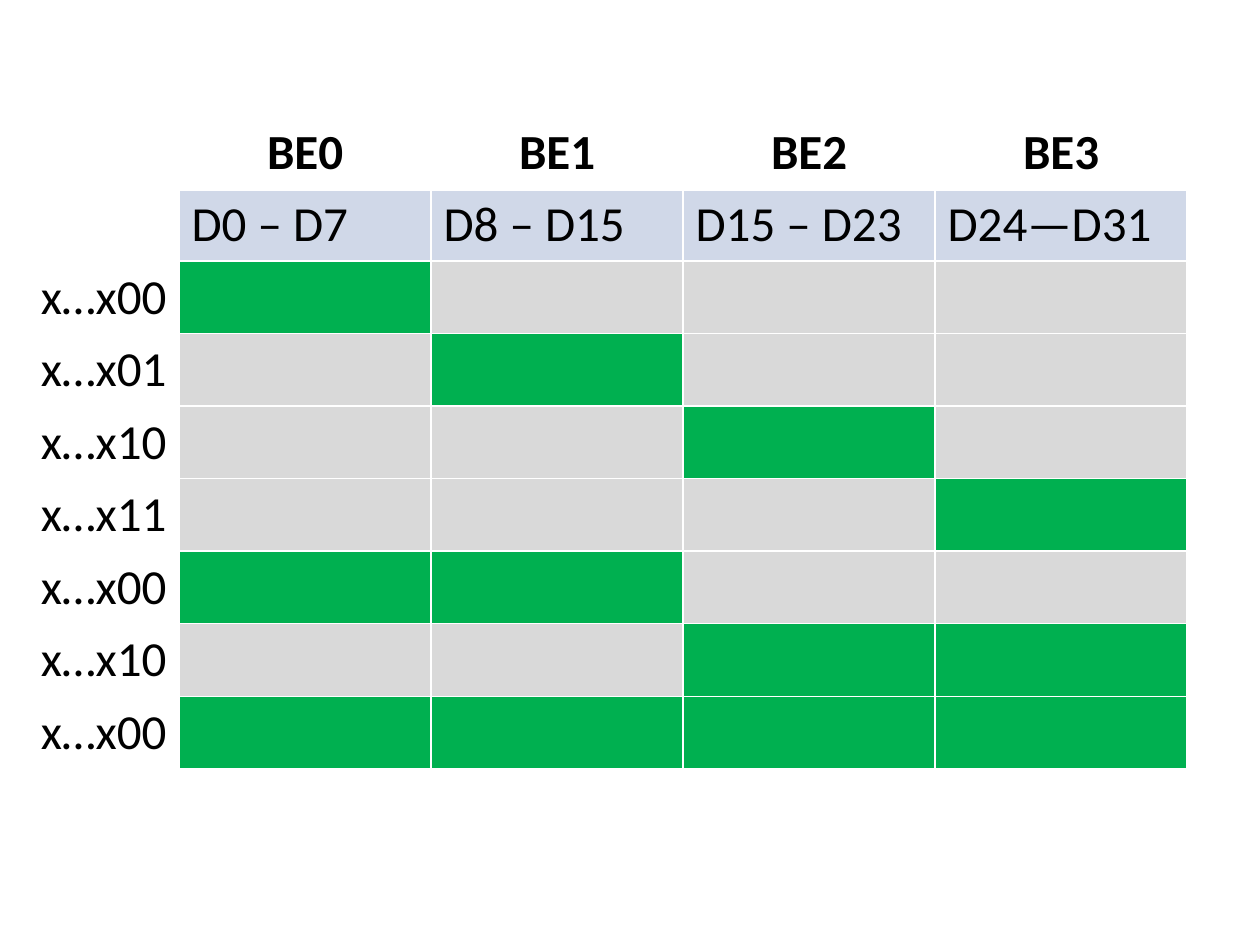
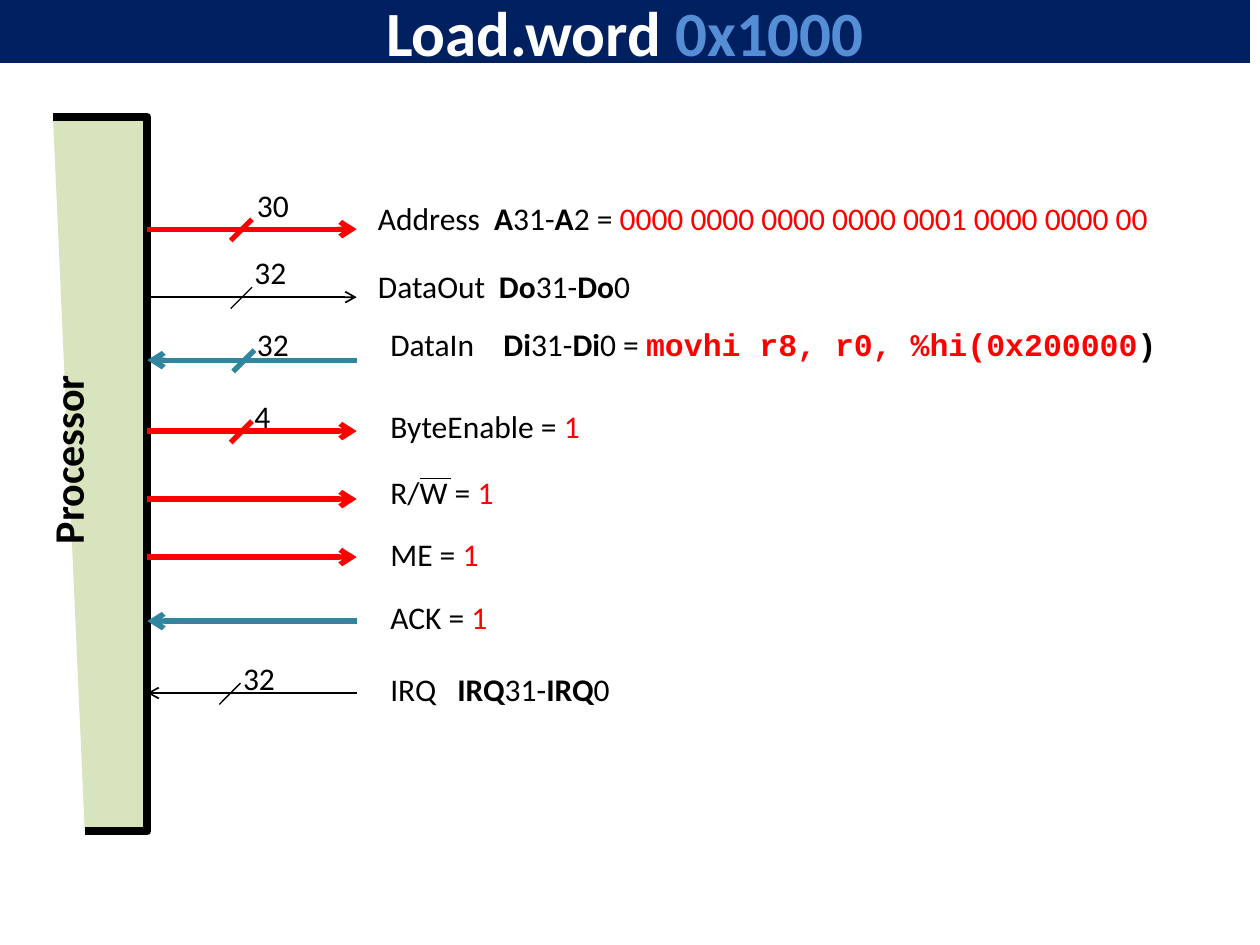
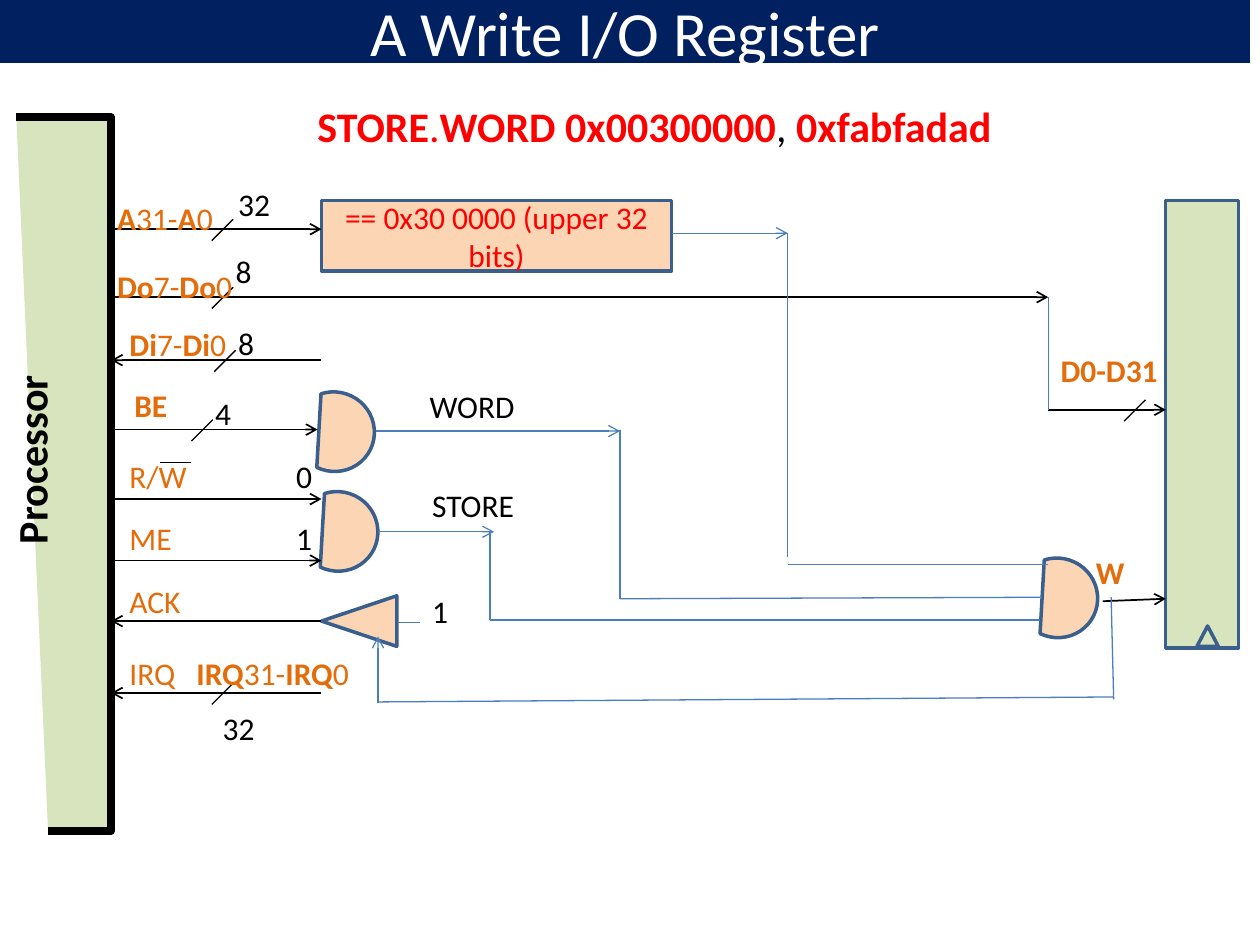
from lxml import etree
from pptx import Presentation
from pptx import util as u
from pptx.dml import color
from pptx.enum import shapes, text
from pptx.oxml import ns

Cm, Pt = u.Cm, u.Pt
rgb = color.RGBColor.from_string
BLACK, WHITE, RED, NAVY = "000000", "FFFFFF", "FF0000", "002060"
TEAL, ORANGE, BLUE, OUTLINE = "31859C", "E46C0A", "4B7EBC", "3A5F8C"
SAGE, PEACH, GREEN, GREY = "D7E4BD", "FCD5B5", "00B050", "D9D9D9"


def add_runs(paragraph, runs, size=18):
    for words, colour, bold, *face in runs:
        run = paragraph.add_run()
        run.text = words
        run.font.name = face[0] if face else "Calibri"
        run.font.size = Pt(size)
        run.font.bold = bold
        run.font.color.rgb = rgb(colour)


def add_wire(slide, x1, y1, x2, y2, colour=BLUE, weight=0.75, arrow=False):
    wire = slide.shapes.add_connector(
        shapes.MSO_CONNECTOR.STRAIGHT, Cm(x1), Cm(y1), Cm(x2), Cm(y2))
    wire.line.color.rgb = rgb(colour)
    wire.line.width = Pt(weight)
    properties = wire.element.spPr
    if arrow:
        outline = properties.find(ns.qn("a:ln"))
        etree.SubElement(outline, ns.qn("a:tailEnd"), type="arrow")
    etree.SubElement(properties, ns.qn("a:effectLst"))


deck = Presentation()
deck.slide_width, deck.slide_height = Cm(25.4), Cm(19.05)
lanes, load, store = [deck.slides.add_slide(deck.slide_layouts[6]) for _ in range(3)]

lane_rows = [
    ("", ["BE0", "BE1", "BE2", "BE3"], []),
    ("", ["D0 – D7", "D8 – D15", "D15 – D23", "D24—D31"], []),
    ("x…x00", [""] * 4, [0]),
    ("x…x01", [""] * 4, [1]),
    ("x…x10", [""] * 4, [2]),
    ("x…x11", [""] * 4, [3]),
    ("x…x00", [""] * 4, [0, 1]),
    ("x…x10", [""] * 4, [2, 3]),
    ("x…x00", [""] * 4, [0, 1, 2, 3]),
]
lane_table = lanes.shapes.add_table(
    len(lane_rows), 5, Cm(-1.47), Cm(2.34), Cm(25.4), Cm(13.14)).table
lane_table.first_row = lane_table.horz_banding = False
for r, (address, words, enabled) in enumerate(lane_rows):
    lane_table.rows[r].height = Cm(1.46)
    for c, word in enumerate([address] + words):
        cell = lane_table.cell(r, c)
        properties = cell._tc.get_or_add_tcPr()
        for side in "LRTB":
            thick = (r, side) in [(0, "B"), (1, "T")]
            border = etree.SubElement(properties, ns.qn("a:ln" + side), w=str(Pt(3 if thick else 1)))
            paint = etree.SubElement(border, ns.qn("a:solidFill"))
            etree.SubElement(paint, ns.qn("a:srgbClr"), val=WHITE)
        if r == 0 or c == 0:
            cell.fill.background()
        else:
            cell.fill.solid()
            shade = "D0D8E8" if r == 1 else GREEN if c - 1 in enabled else GREY
            cell.fill.fore_color.rgb = rgb(shade)
        if word:
            paragraph = cell.text_frame.paragraphs[0]
            if r == 0:
                paragraph.alignment = text.PP_ALIGN.CENTER
            elif c == 0:
                paragraph.alignment = text.PP_ALIGN.RIGHT
            add_runs(paragraph, [(word, BLACK, r == 0)], 28)

titles = [
    (load, 1.07, [("Load.word ", WHITE, True), ("0x1000", "558ED5", True)]),
    (store, 0.33, [("A Write I/O Register", WHITE, False)]),
]
for slide, left, title in titles:
    band = slide.shapes.add_shape(shapes.MSO_SHAPE.RECTANGLE, 0, 0, Cm(25.2), Cm(1.27))
    band.shadow.inherit = False
    band.fill.solid()
    band.fill.fore_color.rgb = rgb(NAVY)
    band.line.fill.background()
    band.text_frame.vertical_anchor = text.MSO_ANCHOR.MIDDLE
    heading = band.text_frame.paragraphs[0]
    heading.alignment = text.PP_ALIGN.CENTER
    add_runs(heading, title, 36)

    edge = slide.shapes.build_freeform(Cm(left), Cm(2.36))
    edge.add_line_segments(
        [(Cm(left + 1.9), Cm(2.36)), (Cm(left + 1.9), Cm(16.76)), (Cm(left + 0.64), Cm(16.76))],
        close=False)
    processor = edge.convert_to_shape()
    processor.shadow.inherit = False
    processor.fill.solid()
    processor.fill.fore_color.rgb = rgb(SAGE)
    processor.line.color.rgb = rgb(BLACK)
    processor.line.width = Pt(4.5)

CHORD, RECT, TRIANGLE = (
    shapes.MSO_SHAPE.CHORD, shapes.MSO_SHAPE.RECTANGLE, shapes.MSO_SHAPE.ISOSCELES_TRIANGLE)
logic_parts = [
    (CHORD, 5.99, 9.91, 1.63, 1.6, 205.9, PEACH, []),
    (CHORD, 5.92, 7.9, 1.63, 1.6, 205.9, PEACH, []),
    (CHORD, 20.5, 11.25, 1.63, 1.6, 205.9, PEACH, []),
    (RECT, 23.5, 4.04, 1.47, 9.02, 0, SAGE, []),
    (TRIANGLE, 24.13, 12.62, 0.43, 0.41, 0, SAGE, []),
    (TRIANGLE, 6.73, 11.76, 1.02, 1.52, 270, PEACH, []),
    (RECT, 6.48, 4.04, 7.06, 1.42, 0, PEACH, [("== 0x30 0000 (upper 32 bits)", RED, False)]),
]
for kind, x, y, width, height, turn, fill, runs in logic_parts:
    part = store.shapes.add_shape(kind, Cm(x), Cm(y), Cm(width), Cm(height))
    part.rotation = turn
    part.shadow.inherit = False
    part.fill.solid()
    part.fill.fore_color.rgb = rgb(fill)
    part.line.color.rgb = rgb(OUTLINE)
    part.line.width = Pt(2)
    if runs:
        part.text_frame.vertical_anchor = text.MSO_ANCHOR.MIDDLE
        part.text_frame.paragraphs[0].alignment = text.PP_ALIGN.CENTER
        add_runs(part.text_frame.paragraphs[0], runs)

signals = [
    (load, 2.97, 7.19, 4.62, RED, 3, 5.08),
    (load, 2.97, 7.19, 5.99, BLACK, 1, 5.08),
    (load, 7.19, 2.97, 7.26, TEAL, 3, 5.13),
    (load, 2.97, 7.19, 8.69, RED, 3, 5.08),
    (load, 2.97, 7.19, 10.06, RED, 3, None),
    (load, 2.97, 7.19, 11.23, RED, 3, None),
    (load, 7.19, 2.97, 12.52, TEAL, 3, None),
    (load, 7.19, 2.97, 13.97, BLACK, 1, 4.85),
    (store, 2.24, 6.48, 4.62, BLACK, 1, 4.7),
    (store, 2.24, 21.13, 5.99, BLACK, 1, 4.7),
    (store, 6.48, 2.24, 7.26, BLACK, 1, 4.75),
    (store, 2.16, 6.4, 8.66, BLACK, 1, 4.29),
    (store, 2.24, 6.48, 10.06, BLACK, 1, None),
    (store, 2.24, 6.48, 11.3, BLACK, 1, None),
    (store, 6.48, 2.24, 12.52, BLACK, 1, None),
    (store, 6.48, 2.24, 13.97, BLACK, 1, 4.7),
    (store, 21.13, 23.5, 8.26, BLACK, 1, 23.09),
]
for slide, start, end, y, colour, weight, slash in signals:
    add_wire(slide, start, y, end, y, colour, weight, True)
    if slash:
        slash_weight = 3 if weight == 3 else 0.75
        add_wire(slide, slash, y - 0.2, slash - 0.43, y + 0.23, colour, slash_weight)

add_wire(load, 8.46, 9.65, 9.09, 9.65, BLACK)
add_wire(store, 3.23, 9.32, 3.86, 9.32, BLACK)
add_wire(store, 22.23, 12.12, 23.5, 12.07, BLACK, 1, True)

for x1, y1, x2, y2 in [
    (7.62, 10.72, 9.96, 10.72),
    (7.57, 8.69, 12.5, 8.69),
    (13.54, 4.7, 15.88, 4.7),
    (7.62, 14.17, 7.62, 12.83),
]:
    add_wire(store, x1, y1, x2, y2, arrow=True)

for x1, y1, x2, y2 in [
    (21.13, 5.99, 21.13, 8.26),
    (15.88, 4.7, 15.88, 11.23),
    (9.88, 12.5, 20.96, 12.5),
    (9.88, 10.72, 9.88, 12.5),
    (21.01, 12.04, 12.5, 12.07),
    (12.5, 8.66, 12.5, 12.07),
    (21.13, 11.38, 15.88, 11.38),
    (8.03, 12.55, 8.46, 12.55),
    (7.62, 14.15, 22.45, 14.05),
    (22.4, 12.04, 22.45, 14.1),
]:
    add_wire(store, x1, y1, x2, y2)

tab_stops = {"Address\t": 2.34, "DataOut\t": 2.44, "DataIn\t": 2.28, "IRQ\t": 1.35}
labels = [
    (load, 7.37, 3.89, 16.23, [
        ("Address\t", BLACK, False), ("A", BLACK, True), ("31-", BLACK, False),
        ("A", BLACK, True), ("2 = ", BLACK, False),
        ("0000 0000 0000 0000 0001 0000 0000 00", RED, False)]),
    (load, 7.37, 5.26, 6.2, [
        ("DataOut\t", BLACK, False), ("Do", BLACK, True), ("31-", BLACK, False),
        ("Do", BLACK, True), ("0", BLACK, False)]),
    (load, 7.62, 6.43, 16.05, [
        ("DataIn\t", BLACK, False), ("Di", BLACK, True), ("31-", BLACK, False),
        ("Di", BLACK, True), ("0 = ", BLACK, False),
        ("movhi r8, r0, %hi(0x200000", RED, True, "Courier New"),
        (")", BLACK, True, "Courier New")]),
    (load, 7.62, 13.39, 5.69, [
        ("IRQ\t", BLACK, False), ("IRQ", BLACK, True), ("31-", BLACK, False),
        ("IRQ", BLACK, True), ("0", BLACK, False)]),
    (store, 2.11, 3.89, 2.46, [
        ("A", ORANGE, True), ("31-", ORANGE, False), ("A", ORANGE, True), ("0", ORANGE, False)]),
    (store, 2.11, 5.26, 2.84, [
        ("Do", ORANGE, True), ("7-", ORANGE, False), ("Do", ORANGE, True), ("0", ORANGE, False)]),
    (store, 2.36, 6.43, 2.49, [
        ("Di", ORANGE, True), ("7-", ORANGE, False), ("Di", ORANGE, True), ("0", ORANGE, False)]),
    (store, 2.36, 13.06, 4.98, [
        ("IRQ\t", ORANGE, False), ("IRQ", ORANGE, True), ("31-", ORANGE, False),
        ("IRQ", ORANGE, True), ("0", ORANGE, False)]),
    (store, 6.15, 1.91, 14.22, [
        ("STORE", RED, True), (".", RED, False), ("WORD 0x00300000", RED, True),
        (", ", BLACK, False), ("0xfabfadad", RED, True)], 24),
    (load, -0.97, 8.26, 4.65, [("Processor", BLACK, True)], 24, 270),
    (store, -1.7, 8.26, 4.65, [("Processor", BLACK, True)], 24, 270),
]
for y, width, name in [
    (8.08, 4.37, "ByteEnable = "), (9.42, 2.62, "R/W = "),
    (10.67, 2.31, "ME = "), (11.94, 2.49, "ACK = "),
]:
    labels.append((load, 7.62, y, width, [(name, BLACK, False), ("1", RED, False)]))
for slide, x, y, width, word, colour, bold in [
    (load, 4.93, 3.63, 1.22, "30", BLACK, False),
    (load, 4.88, 4.98, 1.22, "32", BLACK, False),
    (load, 4.93, 6.43, 1.22, "32", BLACK, False),
    (load, 4.88, 7.87, 0.86, "4", BLACK, False),
    (load, 4.65, 13.16, 1.22, "32", BLACK, False),
    (store, 4.55, 3.61, 1.17, "32", BLACK, False),
    (store, 4.5, 4.95, 0.84, "8", BLACK, False),
    (store, 4.55, 6.4, 0.84, "8", BLACK, False),
    (store, 4.09, 7.82, 0.86, "4", BLACK, False),
    (store, 5.72, 9.09, 0.84, "0", BLACK, False),
    (store, 5.72, 10.34, 0.84, "1", BLACK, False),
    (store, 4.24, 14.17, 1.22, "32", BLACK, False),
    (store, 8.46, 11.81, 0.84, "1", BLACK, False),
    (store, 8.46, 9.68, 2.18, "STORE", BLACK, False),
    (store, 8.41, 7.67, 2.24, "WORD", BLACK, False),
    (store, 2.46, 7.65, 1.19, "BE", ORANGE, True),
    (store, 2.36, 9.09, 1.75, "R/W", ORANGE, False),
    (store, 2.36, 10.34, 1.37, "ME", ORANGE, False),
    (store, 2.36, 11.61, 1.55, "ACK", ORANGE, False),
    (store, 21.13, 6.96, 2.49, "D0-D31", ORANGE, True),
    (store, 21.84, 11.02, 1.09, "W", ORANGE, True),
]:
    labels.append((slide, x, y, width, [(word, colour, bold)]))

for slide, x, y, width, runs, *style in labels:
    size, turn = (style + [18, 0][len(style):])[:2]
    height = 1.27 if size == 24 else 1.02
    label = slide.shapes.add_textbox(Cm(x), Cm(y), Cm(width), Cm(height))
    label.rotation = turn
    label.text_frame.word_wrap = False
    paragraph = label.text_frame.paragraphs[0]
    stop = tab_stops.get(runs[0][0])
    if stop:
        tabs = etree.SubElement(paragraph._p.get_or_add_pPr(), ns.qn("a:tabLst"))
        etree.SubElement(tabs, ns.qn("a:tab"), pos=str(Cm(stop)), algn="l")
    add_runs(paragraph, runs, size)

deck.save("out.pptx")
